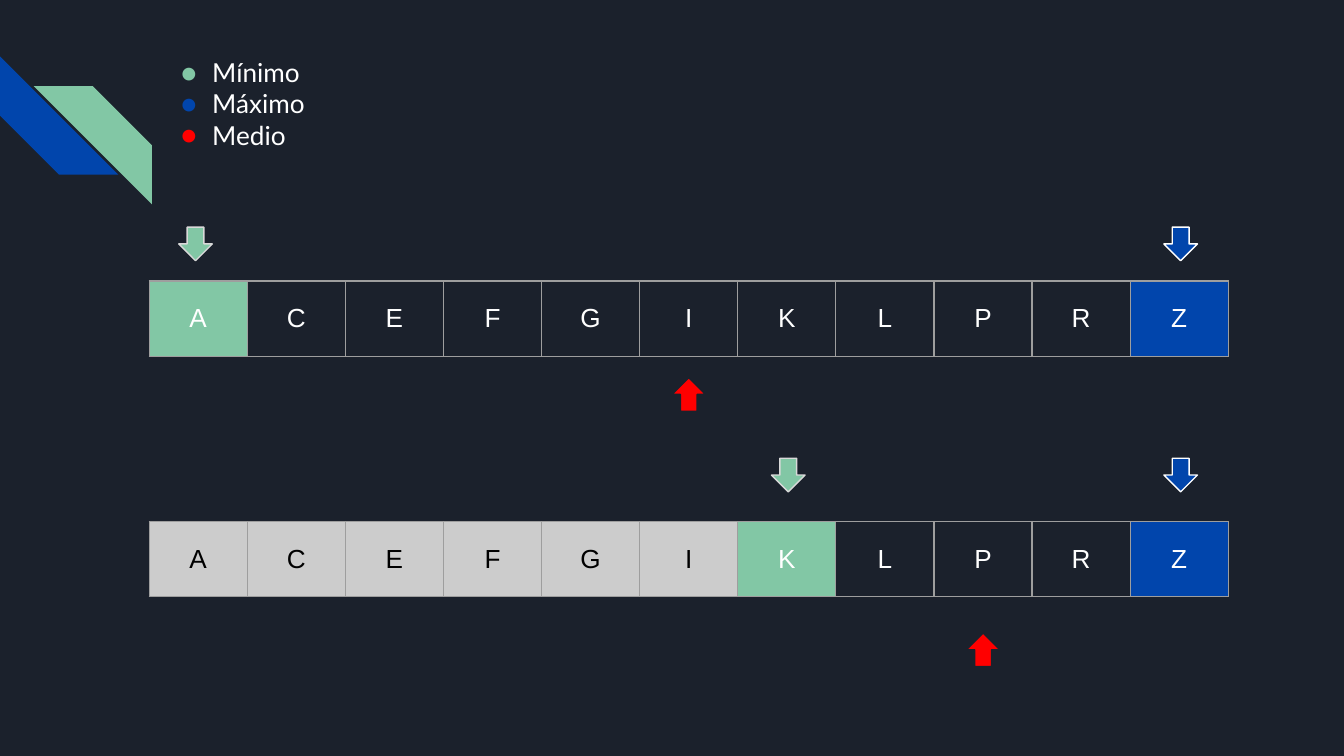
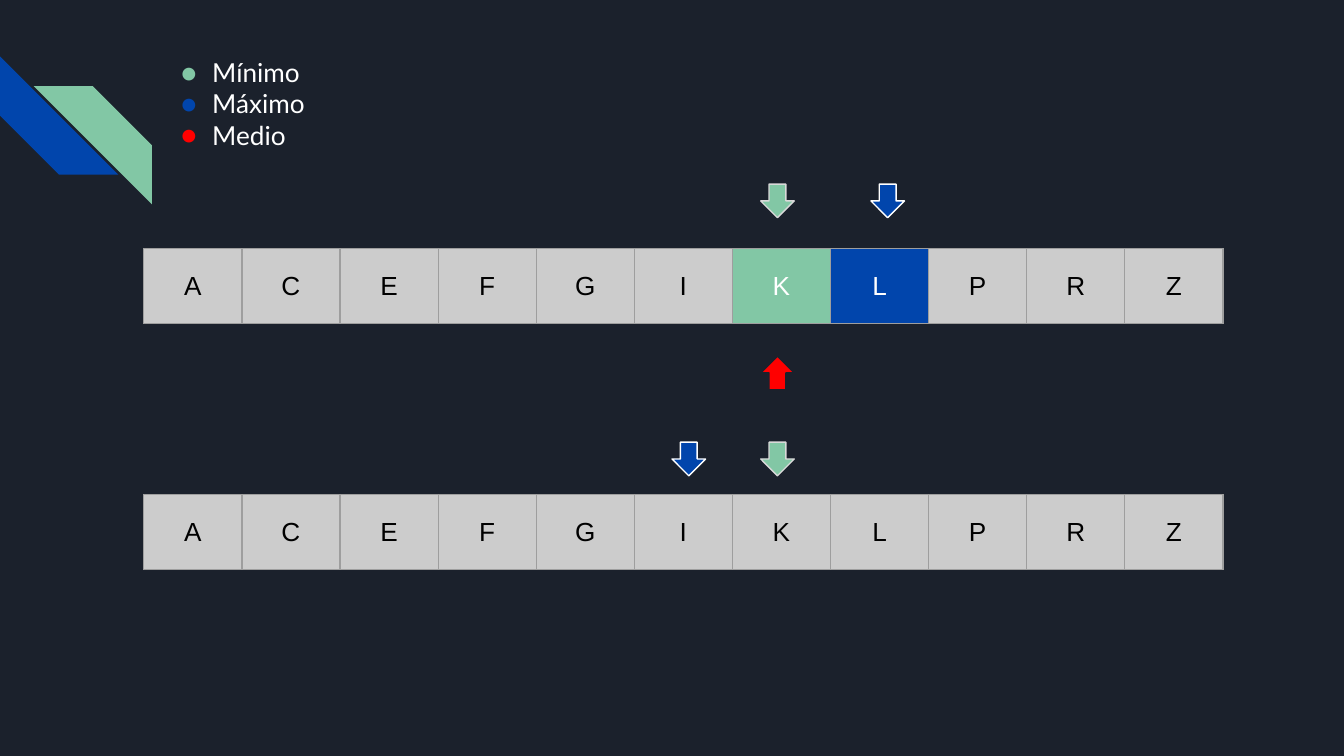
import pptx
import pptx.dml.color
import pptx.enum.shapes
import pptx.enum.text
import pptx.oxml.ns
import pptx.util
from lxml import etree
from pptx.util import Inches

BACKGROUND = "1B212C"
GREEN = "82C7A5"
BLUE = "0145AC"
RED = "FF0000"
WHITE = "FFFFFF"
BLACK = "000000"
GREY = "CCCCCC"
BORDER = "9E9E9E"

LETTERS = "ACEFGIKLPRZ"
CELL_WIDTH = 0.73
CELL_HEIGHT = 0.56
ARROW_SIZE = 0.25
TEXT_SIZE = 14
LINE_WIDTH = 0.75

SHAPES = pptx.enum.shapes.MSO_SHAPE
# Arrow geometry, fill and outline for each marker
MARKERS = {
    "min": (SHAPES.DOWN_ARROW, GREEN, "D9D9D9"),
    "max": (SHAPES.DOWN_ARROW, BLUE, WHITE),
    "mid": (SHAPES.UP_ARROW, RED, BACKGROUND),
}
LEGEND = [("Mínimo", GREEN), ("Máximo", BLUE), ("Medio", RED)]


def color(hex_code):
    return pptx.dml.color.RGBColor.from_string(hex_code)


def add_child(parent, tag, **attributes):
    child = etree.SubElement(parent, pptx.oxml.ns.qn(tag))
    for name, value in attributes.items():
        child.set(name, str(value))
    return child


def add_span(para, text, font, hex_code):
    span = para.add_run()
    span.text = text
    span.font.name = font
    span.font.size = pptx.util.Pt(TEXT_SIZE)
    span.font.color.rgb = color(hex_code)


def add_filled_shape(slide, kind, left, top, size, fill, line=None):
    shape = slide.shapes.add_shape(
        kind, Inches(left), Inches(top), Inches(size), Inches(size))
    shape.shadow.inherit = False
    shape.fill.solid()
    shape.fill.fore_color.rgb = color(fill)
    if line:
        shape.line.color.rgb = color(line)
        shape.line.width = pptx.util.Pt(LINE_WIDTH)
    else:
        shape.line.fill.background()
    return shape


def add_corner_stripes(slide):
    blue_stripe = add_filled_shape(
        slide, SHAPES.DIAGONAL_STRIPE, 0, 0.42, 0.88, BLUE)
    blue_stripe.rotation = 270
    green_stripe = add_filled_shape(
        slide, SHAPES.DIAGONAL_STRIPE, 0.25, 0.64, 0.88, GREEN)
    green_stripe.element.spPr.get_or_add_xfrm().set("flipH", "1")


def add_legend(slide):
    box = slide.shapes.add_textbox(
        Inches(0.99), Inches(0.32), Inches(3.17), Inches(1))
    frame = box.text_frame
    frame.word_wrap = True
    frame.margin_left = frame.margin_right = Inches(0.1)
    frame.margin_top = frame.margin_bottom = Inches(0.1)
    for index, (label, bullet_color) in enumerate(LEGEND):
        para = frame.paragraphs[0] if index == 0 else frame.add_paragraph()
        properties = para._p.get_or_add_pPr()
        properties.set("marL", str(Inches(0.49)))
        properties.set("indent", str(Inches(-0.23)))
        bullet = add_child(properties, "a:buClr")
        add_child(bullet, "a:srgbClr", val=bullet_color)
        add_child(properties, "a:buFont", typeface="Lato")
        add_child(properties, "a:buChar", char="●")
        add_span(para, label, "Lato", WHITE)


def add_cell_borders(cell):
    properties = cell._tc.get_or_add_tcPr()
    for side in ("a:lnL", "a:lnR", "a:lnT", "a:lnB"):
        line = add_child(properties, side, w=pptx.util.Pt(LINE_WIDTH))
        add_child(add_child(line, "a:solidFill"), "a:srgbClr", val=BORDER)


def fill_cell(cell, letter, fill):
    cell.margin_left = cell.margin_right = Inches(0.1)
    cell.margin_top = cell.margin_bottom = Inches(0.1)
    cell.vertical_anchor = pptx.enum.text.MSO_ANCHOR.MIDDLE
    add_cell_borders(cell)
    if fill:
        cell.fill.solid()
        cell.fill.fore_color.rgb = color(fill)
    else:
        cell.fill.background()
    para = cell.text_frame.paragraphs[0]
    para.alignment = pptx.enum.text.PP_ALIGN.CENTER
    add_span(para, letter, "Arial", BLACK if fill == GREY else WHITE)


def add_letter_row(slide, left, top, search_range):
    """Draw the letters; those outside search_range are greyed out."""
    count = len(LETTERS)
    table = slide.shapes.add_table(
        1, count, Inches(left), Inches(top),
        Inches(CELL_WIDTH * count), Inches(CELL_HEIGHT)).table
    table.first_row = False
    table.horz_banding = False
    for index, letter in enumerate(LETTERS):
        table.columns[index].width = Inches(CELL_WIDTH)
        if letter not in search_range:
            fill = GREY
        elif letter == search_range[0]:
            fill = GREEN
        elif letter == search_range[-1]:
            fill = BLUE
        else:
            fill = None
        fill_cell(table.cell(0, index), letter, fill)


def add_marker(slide, role, left, top):
    kind, fill, line = MARKERS[role]
    add_filled_shape(slide, kind, left, top, ARROW_SIZE, fill, line)


def add_search_slide(deck, row_left, rows, markers):
    slide = deck.slides.add_slide(deck.slide_layouts[6])
    slide.background.fill.solid()
    slide.background.fill.fore_color.rgb = color(BACKGROUND)
    add_corner_stripes(slide)
    for top, search_range in rows:
        add_letter_row(slide, row_left, top, search_range)
    for role, left, top in markers:
        add_marker(slide, role, left, top)
    add_legend(slide)


def main():
    deck = pptx.Presentation()
    deck.slide_width = Inches(10)
    deck.slide_height = Inches(5.625)
    add_search_slide(
        deck, 1.11,
        rows=[(2.09, LETTERS), (3.88, "KLPRZ")],
        markers=[("min", 1.33, 1.69), ("min", 5.74, 3.41),
                 ("max", 8.66, 1.69), ("max", 8.66, 3.41),
                 ("mid", 5, 2.81), ("mid", 7.19, 4.71)])
    add_search_slide(
        deck, 1.07,
        rows=[(1.85, "KL"), (3.68, "")],
        markers=[("min", 5.66, 1.37), ("max", 6.48, 1.37),
                 ("mid", 5.66, 2.65),
                 ("max", 5, 3.29), ("min", 5.66, 3.29)])
    deck.save("out.pptx")


if __name__ == "__main__":
    main()
